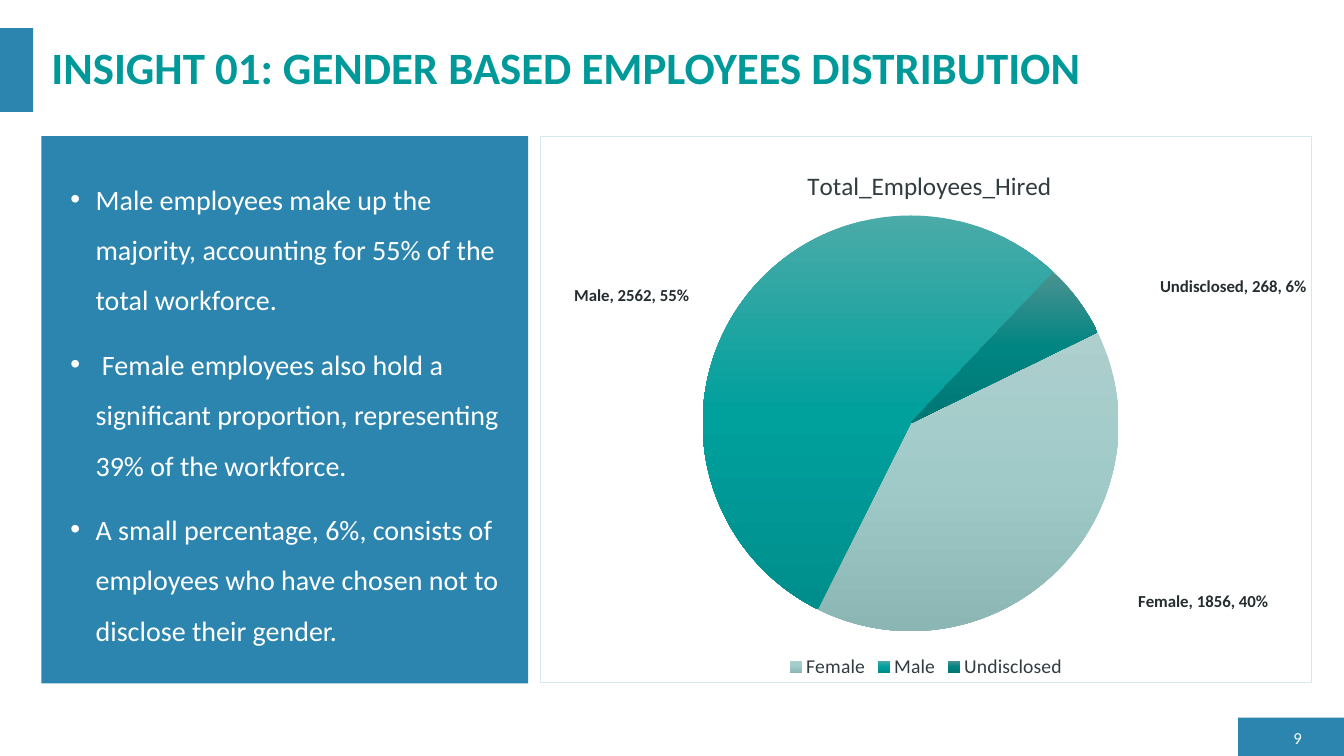
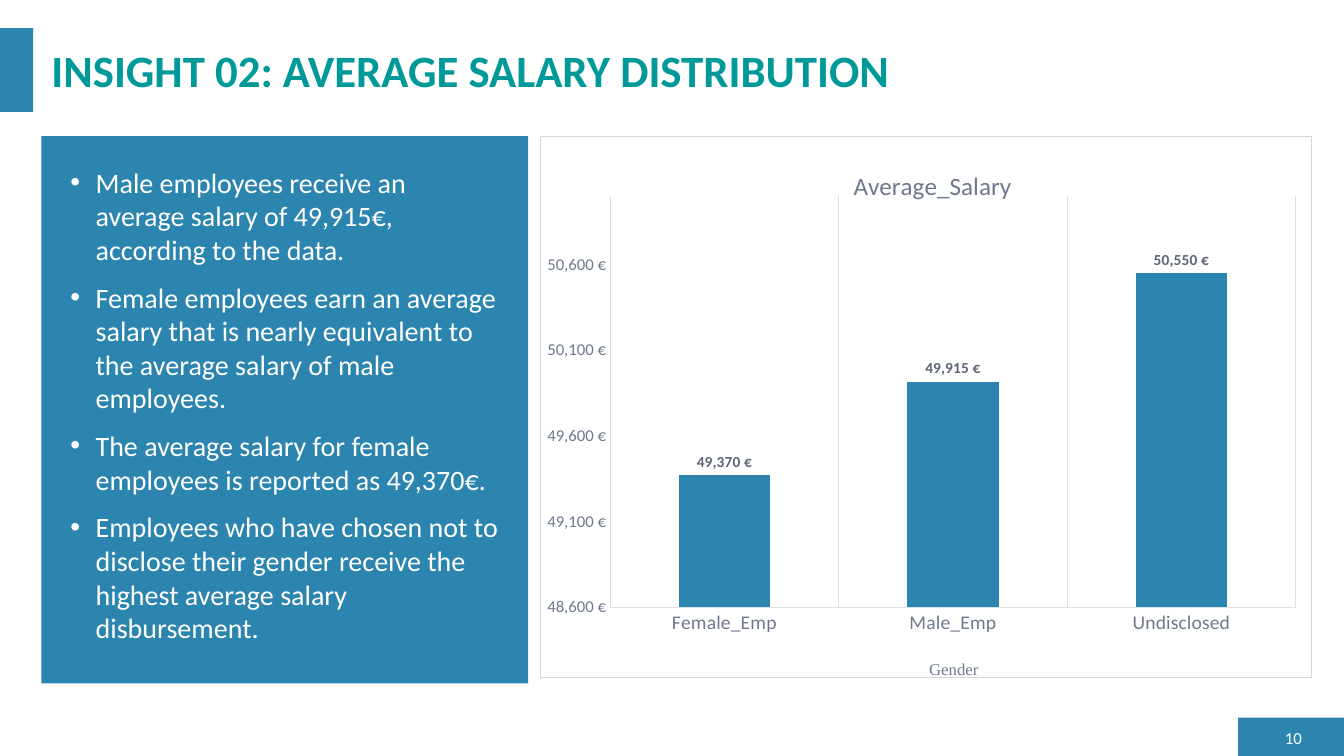
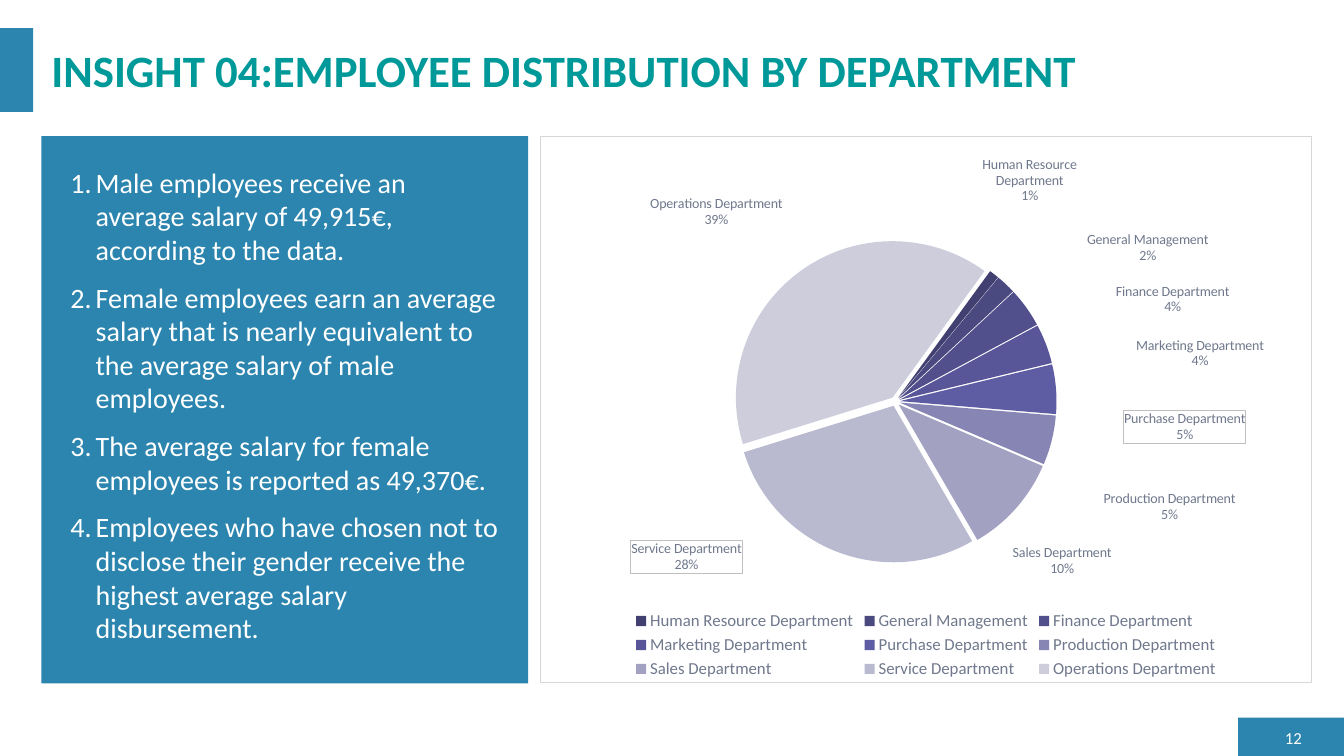
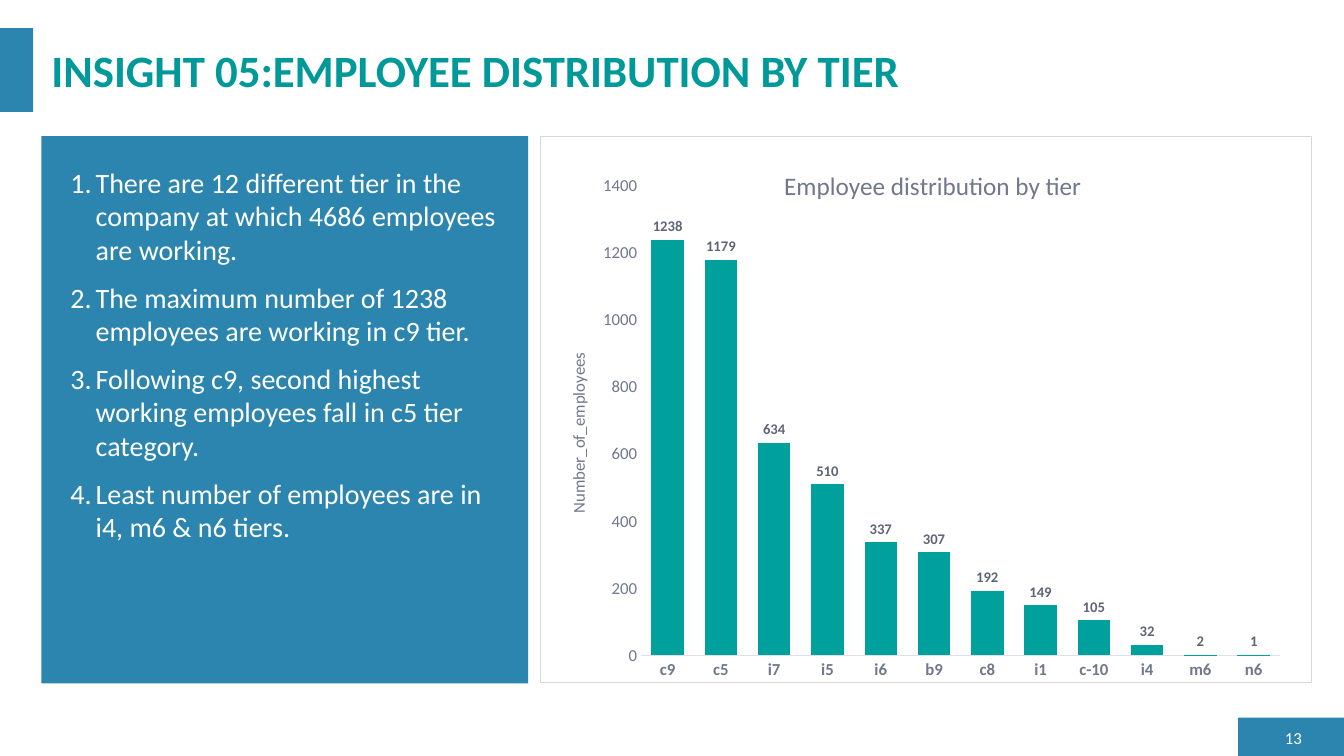
from copy import deepcopy

from lxml import etree
from pptx import Presentation
from pptx.chart.data import CategoryChartData
from pptx.dml.color import RGBColor
from pptx.enum.chart import XL_CHART_TYPE, XL_LABEL_POSITION, XL_LEGEND_POSITION, XL_TICK_MARK
from pptx.enum.shapes import MSO_SHAPE
from pptx.enum.text import MSO_ANCHOR, MSO_AUTO_SIZE, PP_ALIGN
from pptx.oxml import parse_xml
from pptx.oxml.ns import qn
from pptx.util import Inches, Pt

PIE = XL_CHART_TYPE.PIE
COLUMN = XL_CHART_TYPE.COLUMN_CLUSTERED
OUTSIDE = XL_LABEL_POSITION.OUTSIDE_END
BOTTOM = XL_LEGEND_POSITION.BOTTOM
NO_TICK = XL_TICK_MARK.NONE
RECTANGLE = MSO_SHAPE.RECTANGLE
MIDDLE = MSO_ANCHOR.MIDDLE
NO_FIT = MSO_AUTO_SIZE.NONE
LEFT, RIGHT = PP_ALIGN.LEFT, PP_ALIGN.RIGHT

BLUE = RGBColor(0x2C, 0x85, 0xAE)
TEAL = RGBColor(0x00, 0x99, 0x99)
BAR_TEAL = RGBColor(0x00, 0xA0, 0x9D)
WHITE = RGBColor(0xFF, 0xFF, 0xFF)
INK = RGBColor(0x31, 0x3C, 0x41)
DARK = RGBColor(0x25, 0x2D, 0x31)
SLATE = RGBColor(0x6F, 0x78, 0x8C)
LABEL = RGBColor(0x5E, 0x65, 0x76)
GRID = RGBColor(0xDE, 0xE0, 0xE5)
PALE_BLUE = RGBColor(0xD5, 0xE7, 0xEF)
PALE_GREY = RGBColor(0xD6, 0xD7, 0xD9)
BOX_GREY = RGBColor(0xBF, 0xBF, 0xBF)

FONT = "Calibri"
NAMESPACES = ('xmlns:c="http://schemas.openxmlformats.org/drawingml/2006/chart" '
              'xmlns:a="http://schemas.openxmlformats.org/drawingml/2006/main"')
BANDS = [(12.28, 7.12, 1.05, 0.38), (0, 0.28, 0.33, 0.83), (0.41, 1.35, 4.83, 5.43)]
CHART_AT = (5.36, 1.35, 7.65, 5.43)
BODY_AT = (0.6, 1.59, 4.45, 4.98)
NUMBER_AT = (12.6, 7.2, 0.41, 0.23)
TITLE_AT = (0.41, 0.4, 12.6, 0.65)

BULLET = '<a:buChar {} char="•"/>'
NUMBERED = '<a:buAutoNum {} type="arabicPeriod"/>'
EURO = "#,##0\\ [$€-407]"

SALARY_NOTES = [
    "Male employees receive an average salary of 49,915€, according to the data.",
    "Female employees earn an average salary that is nearly equivalent to the average salary of male employees.",
    "The average salary for female employees is reported as 49,370€.",
    "Employees who have chosen not to disclose their gender receive the highest average salary disbursement.",
]

PAGES = [
    {
        "title": "INSIGHT 01: GENDER BASED EMPLOYEES DISTRIBUTION",
        "title_at": (0.41, 0.28, 12.6, 0.83),
        "number": 9,
        "marker": BULLET,
        "spacing": 1.5,
        "notes": [
            "Male employees make up the majority, accounting for 55% of the total workforce.",
            " Female employees also hold a significant proportion, representing 39% of the workforce.",
            "A small percentage, 6%, consists of employees who have chosen not to disclose their gender.",
        ],
        "chart": {
            "kind": PIE,
            "border": PALE_BLUE,
            "heading": ("Total_Employees_Hired", INK, (0.34, 0.05)),
            "plot": (0.21, 0.14, 0.54, 0.77),
            "data": {"Female": 1856, "Male": 2562, "Undisclosed": 268},
            "start": 64,
            "fills": [("ADCFCE", "A0CAC8", "8BB6B4"), ("4BABA8", "00A09D", "008E8C"),
                      ("4B9290", "008582", "007674")],
            "label_font": {"size": Pt(12), "bold": True, "color": DARK},
            "label_show": {"show_value": True, "show_category_name": True, "show_percentage": True,
                           "number_format": "0%"},
            "separator": ", ",
            "offsets": [(0.1, 0.03), (-0.06, 0.01), (0.1, 0)],
            "legend_font": {"size": Pt(14), "color": INK},
        },
    },
    {
        "title": "INSIGHT 02: AVERAGE SALARY DISTRIBUTION",
        "number": 10,
        "marker": BULLET,
        "notes": SALARY_NOTES,
        "chart": {
            "kind": COLUMN,
            "border": PALE_GREY,
            "heading": ("Average_Salary", SLATE, (0.4, 0.05)),
            "plot": (0.09, 0.11, 0.89, 0.76),
            "data": {"Female_Emp": 49370, "Male_Emp": 49915, "Undisclosed": 50550},
            "color": BLUE,
            "gap": 150,
            "overlap": 0,
            "scale": (48600, 51000, 500),
            "format": EURO,
            "label_font": {"size": Pt(11), "bold": True, "color": LABEL},
            "label_show": {"show_value": True, "number_format": EURO},
            "category_font": {"size": Pt(14), "bold": False, "color": SLATE},
            "category_title": ("Gender", "Times New Roman", (0.5, 0.96)),
            "category_grid": True,
        },
    },
    {
        "title": "INSIGHT 04:EMPLOYEE DISTRIBUTION BY DEPARTMENT",
        "number": 12,
        "marker": NUMBERED,
        "notes": SALARY_NOTES,
        "chart": {
            "kind": PIE,
            "border": PALE_GREY,
            "plot": (0.25, 0.19, 0.42, 0.59),
            "data": {
                "Human Resource Department": 1, "General Management": 2, "Finance Department": 4,
                "Marketing Department": 4, "Purchase Department": 5, "Production Department": 5,
                "Sales Department": 10, "Service Department": 28, "Operations Department": 39,
            },
            "start": 36,
            "explosion": 3,
            "fills": [("424071",), ("4A4980",), ("51508C",), ("585698",), ("5E5CA2",),
                      ("8685B3",), ("A2A1C2",), ("B9B9D0",), ("CDCDDC",)],
            "label_font": {"size": Pt(10), "bold": False, "color": SLATE},
            "label_show": {"show_value": True, "show_category_name": True, "number_format": '0"%"'},
            "separator": "\n",
            "offsets": [(-0.02, -0.12), (0.1, -0.03), (0.11, 0.02), (0.11, 0.05), (0.08, 0.07),
                        (0.06, 0.09), (-0.01, 0.06), (-0.12, -0.03), (-0.02, -0.07)],
            "boxed": (4, 7),
            "legend_font": {"size": Pt(12), "color": SLATE},
        },
    },
    {
        "title": "INSIGHT 05:EMPLOYEE DISTRIBUTION BY TIER",
        "number": 13,
        "marker": NUMBERED,
        "notes": [
            "There are 12 different tier in the company at which 4686 employees are working.",
            "The maximum number of 1238 employees are working in c9 tier.",
            "Following c9, second highest working employees fall in c5 tier category.",
            "Least number of employees are in i4, m6 & n6 tiers.",
        ],
        "chart": {
            "kind": COLUMN,
            "border": PALE_GREY,
            "heading": ("Employee distribution by tier", SLATE, (0.31, 0.05)),
            "plot": (0.13, 0.09, 0.83, 0.86),
            "data": {"c9": 1238, "c5": 1179, "i7": 634, "i5": 510, "i6": 337, "b9": 307,
                     "c8": 192, "i1": 149, "c-10": 105, "i4": 32, "m6": 2, "n6": 1},
            "color": BAR_TEAL,
            "gap": 64,
            "overlap": -27,
            "scale": (0, 1400, 200),
            "format": "0",
            "label_font": {"size": Pt(10.5), "bold": True, "color": LABEL},
            "label_show": {"show_value": True, "number_format": "0"},
            "category_font": {"size": Pt(12), "bold": True, "color": SLATE},
            "value_title": ("Number_of_employees", FONT, (0.03, 0.39)),
        },
    },
]


def inches(place):
    return [Inches(length) for length in place]


def set_all(target, values):
    for name, value in values.items():
        setattr(target, name, value)


def style(font, color, **values):
    set_all(font, {"name": FONT, **values})
    font.color.rgb = color


def element(text):
    return parse_xml(text.replace("{}", NAMESPACES, 1))


def solid(color):
    return f'<a:solidFill><a:srgbClr val="{color}"/></a:solidFill>'


def outline(color):
    return element(f'<c:spPr {{}}><a:noFill/><a:ln w="9525">{solid(color)}</a:ln></c:spPr>')


def set_layout(parent, place, inner=False, offset=False):
    for old in parent.findall(qn("c:layout")):
        parent.remove(old)
    target = '<c:layoutTarget val="inner"/>' if inner else ""
    names = "xywh"[:len(place)]
    modes = "" if offset else "".join(f'<c:{name}Mode val="edge"/>' for name in "xy")
    sizes = "".join(f'<c:{name} val="{value}"/>' for name, value in zip(names, place))
    layout = element(f"<c:layout {{}}><c:manualLayout>{target}{modes}{sizes}</c:manualLayout></c:layout>")
    before = parent.find(qn("c:tx"))
    if before is None:
        before = parent.find(qn("c:idx"))
    if before is None:
        parent.insert(0, layout)
    else:
        before.addnext(layout)


def set_heading(title, text, color, place, size, name=FONT):
    title.text_frame.text = text
    style(title.text_frame.paragraphs[0].runs[0].font, color, size=size, bold=False, name=name)
    set_layout(title._element, place)


def add_text(page, place, text, size, align):
    box = page.shapes.add_textbox(*inches(place))
    set_all(box.text_frame, {"word_wrap": True, "text": text, "vertical_anchor": MIDDLE})
    para = box.text_frame.paragraphs[0]
    para.alignment = align
    style(para.font, WHITE, size=size)


def add_frame(page, content):
    for place in BANDS:
        band = page.shapes.add_shape(RECTANGLE, *inches(place))
        band.shadow.inherit = False
        band.fill.solid()
        band.fill.fore_color.rgb = BLUE
        band.line.fill.background()
    title = page.shapes.title
    places = inches(content.get("title_at", TITLE_AT))
    set_all(title, dict(zip(("left", "top", "width", "height"), places)))
    set_all(title.text_frame, {"text": content["title"], "vertical_anchor": MIDDLE,
                               "auto_size": NO_FIT, "word_wrap": True})
    para = title.text_frame.paragraphs[0]
    set_all(para, {"alignment": LEFT, "line_spacing": 0.9})
    style(para.runs[0].font, TEAL, size=Pt(32), bold=True)
    add_text(page, NUMBER_AT, str(content["number"]), Pt(12), RIGHT)


def add_notes(page, content):
    frame = page.shapes.add_textbox(*inches(BODY_AT)).text_frame
    frame.word_wrap = True
    for index, note in enumerate(content["notes"]):
        para = frame.add_paragraph() if index else frame.paragraphs[0]
        set_all(para, {"line_spacing": content.get("spacing", 1.0), "space_before": Pt(10)})
        span = para.add_run()
        span.text = note
        style(span.font, WHITE, size=Pt(20))
        properties = para._p.get_or_add_pPr()
        properties.set("marL", str(Inches(0.25)))
        properties.set("indent", str(-Inches(0.25)))
        properties.append(element('<a:buFont {} typeface="Arial"/>' if content["marker"] == BULLET
                                  else '<a:buFont {} typeface="Calibri"/>'))
        properties.append(element(content["marker"]))


def format_labels(series, content):
    labels = series.data_labels
    set_all(labels, {**content["label_show"], "number_format_is_linked": False, "position": OUTSIDE})
    style(labels.font, **content["label_font"])
    return labels._element


def format_pie(chart, content):
    plot = chart.plots[0]
    plot.vary_by_categories = True
    pie = plot._element
    for old in pie.findall(qn("c:firstSliceAng")):
        pie.remove(old)
    pie.append(element(f'<c:firstSliceAng {{}} val="{content["start"]}"/>'))
    series = plot.series[0]
    if "explosion" in content:
        series._element.find(qn("c:tx")).addnext(
            element(f'<c:explosion {{}} val="{content["explosion"]}"/>'))
    for index, colors in enumerate(content["fills"]):
        fill = series.points[index].format.fill
        fill.solid()
        fill.fore_color.rgb = RGBColor.from_string(colors[0])
        if len(colors) > 1:
            stops = "".join(f'<a:gs pos="{step * 50000}"><a:srgbClr val="{color}"/></a:gs>'
                            for step, color in enumerate(colors))
            gradient = element(f'<a:gradFill {{}}><a:gsLst>{stops}</a:gsLst>'
                               '<a:lin ang="5400000" scaled="0"/></a:gradFill>')
            shape = series.points[index].format.fill._xPr
            shape.replace(shape.find(qn("a:solidFill")), gradient)

    labels = format_labels(series, content)
    separator = etree.Element(qn("c:separator"))
    separator.text = content["separator"]
    labels.find(qn("c:showBubbleSize")).addnext(separator)
    for leader in labels.findall(qn("c:showLeaderLines")):
        leader.set("val", "0")
    shared = [child for child in labels if child.tag != qn("c:showLeaderLines")]
    for index, offset in enumerate(content["offsets"]):
        label = element(f'<c:dLbl {{}}><c:idx val="{index}"/></c:dLbl>')
        for child in shared:
            label.append(deepcopy(child))
        set_layout(label, offset, offset=True)
        if index in content.get("boxed", ()):
            label.find(qn("c:numFmt")).addnext(outline(BOX_GREY))
        labels.insert(index, label)
    chart.has_legend = True
    set_all(chart.legend, {"position": BOTTOM, "include_in_layout": False})
    style(chart.legend.font, **content["legend_font"])


def format_columns(chart, content):
    plot = chart.plots[0]
    set_all(plot, {"gap_width": content["gap"], "overlap": content["overlap"],
                   "vary_by_categories": False})
    series = plot.series[0]
    series.format.fill.solid()
    series.format.fill.fore_color.rgb = content["color"]
    format_labels(series, content)
    category, value = chart.category_axis, chart.value_axis
    low, high, step = content["scale"]
    set_all(value, {"minimum_scale": low, "maximum_scale": high, "major_unit": step,
                    "has_major_gridlines": False, "major_tick_mark": NO_TICK})
    set_all(value.tick_labels, {"number_format": content["format"], "number_format_is_linked": False})
    style(value.tick_labels.font, SLATE, size=Pt(12), bold=False)
    value.format.line.fill.background()
    set_all(category, {"major_tick_mark": NO_TICK,
                       "has_major_gridlines": content.get("category_grid", False)})
    style(category.tick_labels.font, **content["category_font"])
    lines = [category.format.line]
    if category.has_major_gridlines:
        lines.append(category.major_gridlines.format.line)
    for line in lines:
        line.color.rgb = GRID
        line.width = Pt(0.75)
    for axis, key in ((category, "category_title"), (value, "value_title")):
        if key in content:
            text, name, place = content[key]
            set_heading(axis.axis_title, text, SLATE, place, Pt(12), name)
    if "value_title" in content:
        body = value.axis_title.text_frame._txBody.bodyPr
        body.set("rot", "-5400000")
        body.set("vert", "horz")


def add_chart(page, content):
    data = CategoryChartData()
    data.categories = list(content["data"])
    data.add_series("Series 1", list(content["data"].values()))
    chart = page.shapes.add_chart(content["kind"], *inches(CHART_AT), data).chart
    style(chart.font, INK, size=Pt(10))
    chart.has_legend = False
    chart.has_title = "heading" in content
    if chart.has_title:
        text, color, place = content["heading"]
        set_heading(chart.chart_title, text, color, place, Pt(18))
    if content["kind"] == PIE:
        format_pie(chart, content)
    else:
        format_columns(chart, content)
    body = chart._chartSpace.find(qn("c:chart"))
    set_layout(body.find(qn("c:plotArea")), content["plot"], inner=True)
    body.addnext(outline(content["border"]))


def main():
    deck = Presentation()
    deck.slide_width, deck.slide_height = Inches(13.33), Inches(7.5)
    for content in PAGES:
        page = deck.slides.add_slide(deck.slide_layouts[5])
        add_frame(page, content)
        add_notes(page, content)
        add_chart(page, content["chart"])
    deck.save("out.pptx")


if __name__ == "__main__":
    main()
